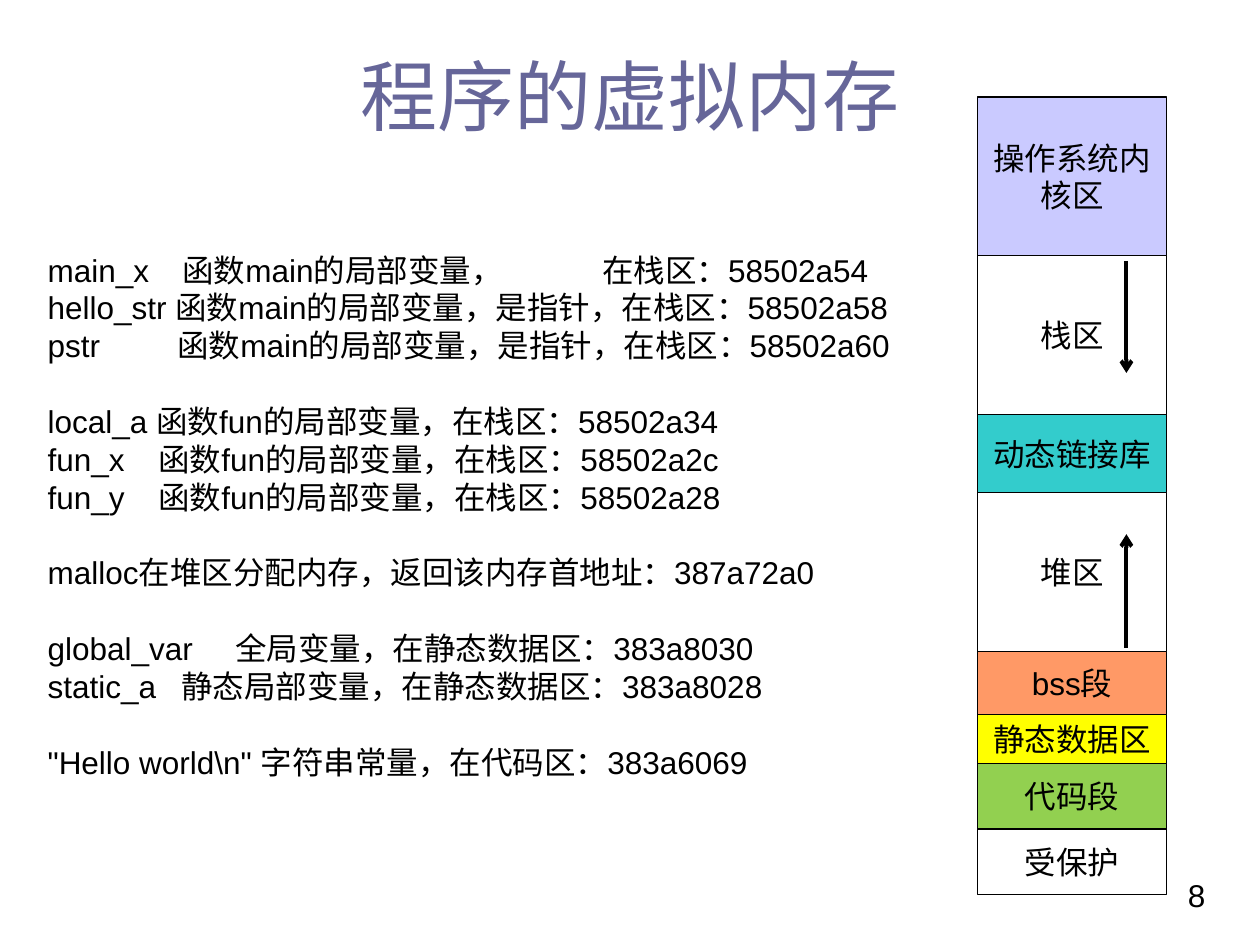
from dataclasses import dataclass

import pptx
import pptx.dml.color
import pptx.enum.shapes
import pptx.enum.text
import pptx.oxml.ns
import pptx.util
from lxml import etree
from pptx.util import Inches

ALIGN = pptx.enum.text.PP_ALIGN
ANCHOR = pptx.enum.text.MSO_ANCHOR


@dataclass(frozen=True)
class Theme:
    font: str = "Arial"
    ink: str = "000000"
    title: str = "666699"
    white: str = "FFFFFF"
    kernel: str = "CACAFF"
    library: str = "33CCCC"
    bss: str = "FF9966"
    static: str = "FFFF00"
    code: str = "92D050"
    title_size: float = 44
    body_size: float = 18
    group_gap: float = 21.7
    border: float = 0.75
    arrow: float = 2.25


THEME = Theme()

STACK_LEFT, STACK_TOP, STACK_WIDTH = 7.76, 0.77, 1.5
REGIONS = [
    ("操作系统内核区", 1.26, THEME.kernel),
    ("栈区", 1.26, THEME.white),
    ("动态链接库", 0.62, THEME.library),
    ("堆区", 1.26, THEME.white),
    ("bss段", 0.5, THEME.bss),
    ("静态数据区", 0.39, THEME.static),
    ("代码段", 0.52, THEME.code),
    ("受保护", 0.52, THEME.white),
]
ARROW_X = 8.94
GROWTH_ARROWS = [(2.07, 2.96), (5.14, 4.24)]

VARIABLE_GROUPS = [
    [
        ("main_x\t函数main的局部变量，\t在栈区：58502a54", (1.07, 4.4)),
        ("hello_str 函数main的局部变量，是指针，在栈区：58502a58", ()),
        ("pstr\t函数main的局部变量，是指针，在栈区：58502a60", (1.03,)),
    ],
    [
        ("local_a 函数fun的局部变量，在栈区：58502a34", ()),
        ("fun_x\t函数fun的局部变量，在栈区：58502a2c", (0.88,)),
        ("fun_y\t函数fun的局部变量，在栈区：58502a28", (0.88,)),
    ],
    [("malloc在堆区分配内存，返回该内存首地址：387a72a0", ())],
    [
        ("global_var\t全局变量，在静态数据区：383a8030", (1.49,)),
        ("static_a\t静态局部变量，在静态数据区：383a8028", (1.06,)),
    ],
    [('"Hello world\\n" 字符串常量，在代码区：383a6069', ())],
]


def rgb(value):
    return pptx.dml.color.RGBColor.from_string(value)


def add_child(parent, tag, **attributes):
    return etree.SubElement(parent, pptx.oxml.ns.qn(tag), **attributes)


def write_text(para, text, *, size=THEME.body_size, color=THEME.ink,
               align=ALIGN.LEFT, before=0, stops=()):
    para.alignment = align
    if before:
        para.space_before = pptx.util.Pt(before)
    if stops:
        tabs = add_child(para._p.get_or_add_pPr(), "a:tabLst")
        for stop in stops:
            add_child(tabs, "a:tab", pos=str(Inches(stop)), algn="l")
    span = para.add_run()
    span.text = text
    span.font.name = THEME.font
    span.font.size = pptx.util.Pt(size)
    span.font.color.rgb = rgb(color)


def add_text_box(page, left, top, width, height, anchor=ANCHOR.TOP):
    box = page.shapes.add_textbox(Inches(left), Inches(top), Inches(width), Inches(height))
    box.text_frame.word_wrap = True
    box.text_frame.vertical_anchor = anchor
    return box.text_frame


def add_variables(page):
    frame = add_text_box(page, 0.28, 1.94, 7.47, 4.34)
    para = frame.paragraphs[0]
    for group_index, group in enumerate(VARIABLE_GROUPS):
        for row_index, (text, stops) in enumerate(group):
            if group_index or row_index:
                para = frame.add_paragraph()
            starts_group = group_index and not row_index
            write_text(para, text, stops=stops,
                       before=THEME.group_gap if starts_group else 0)


def add_region(page, top, text, height, fill):
    region = page.shapes.add_shape(
        pptx.enum.shapes.MSO_SHAPE.RECTANGLE,
        Inches(STACK_LEFT), Inches(top), Inches(STACK_WIDTH), Inches(height))
    region.shadow.inherit = False
    region.fill.solid()
    region.fill.fore_color.rgb = rgb(fill)
    region.line.color.rgb = rgb(THEME.ink)
    region.line.width = pptx.util.Pt(THEME.border)
    frame = region.text_frame
    frame.word_wrap = True
    frame.vertical_anchor = ANCHOR.MIDDLE
    write_text(frame.paragraphs[0], text, align=ALIGN.CENTER)


def add_arrow(page, start, end):
    arrow = page.shapes.add_connector(
        pptx.enum.shapes.MSO_CONNECTOR.STRAIGHT,
        Inches(ARROW_X), Inches(start), Inches(ARROW_X), Inches(end))
    arrow.line.color.rgb = rgb(THEME.ink)
    arrow.line.width = pptx.util.Pt(THEME.arrow)
    add_child(arrow.line._get_or_add_ln(), "a:tailEnd", type="arrow")
    add_child(arrow._element.spPr, "a:effectLst")


def add_memory_stack(page):
    top = STACK_TOP
    for text, height, fill in REGIONS:
        add_region(page, top, text, height, fill)
        top += height
    for start, end in GROWTH_ARROWS:
        add_arrow(page, start, end)


def main():
    deck = pptx.Presentation()
    deck.slide_width, deck.slide_height = Inches(10), Inches(7.5)
    page = deck.slides.add_slide(deck.slide_layouts[6])

    number = add_text_box(page, 9.33, 6.9, 0.55, 0.4, ANCHOR.MIDDLE)
    write_text(number.paragraphs[0], "8")
    title = add_text_box(page, 2.25, 0.29, 5.5, 0.92, ANCHOR.MIDDLE)
    write_text(title.paragraphs[0], "程序的虚拟内存", size=THEME.title_size,
               color=THEME.title, align=ALIGN.CENTER)
    add_variables(page)
    add_memory_stack(page)
    deck.save("out.pptx")


if __name__ == "__main__":
    main()
